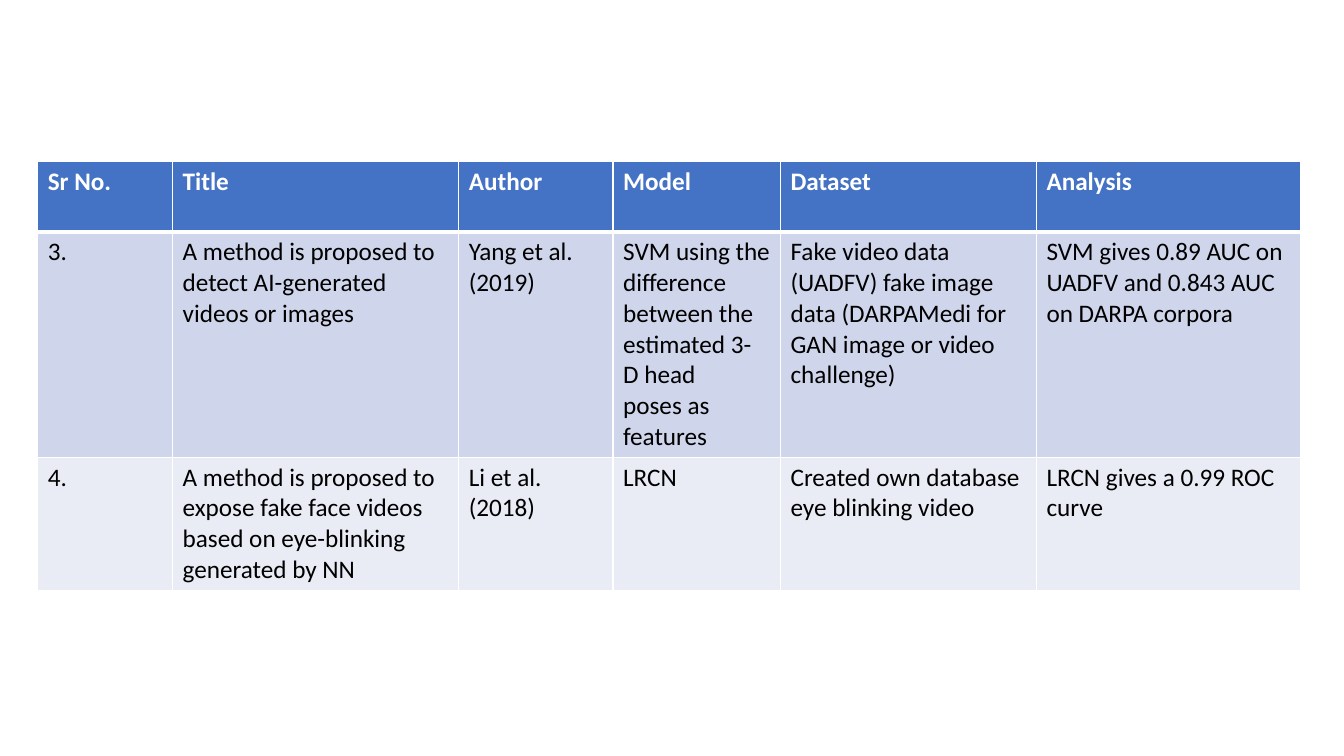
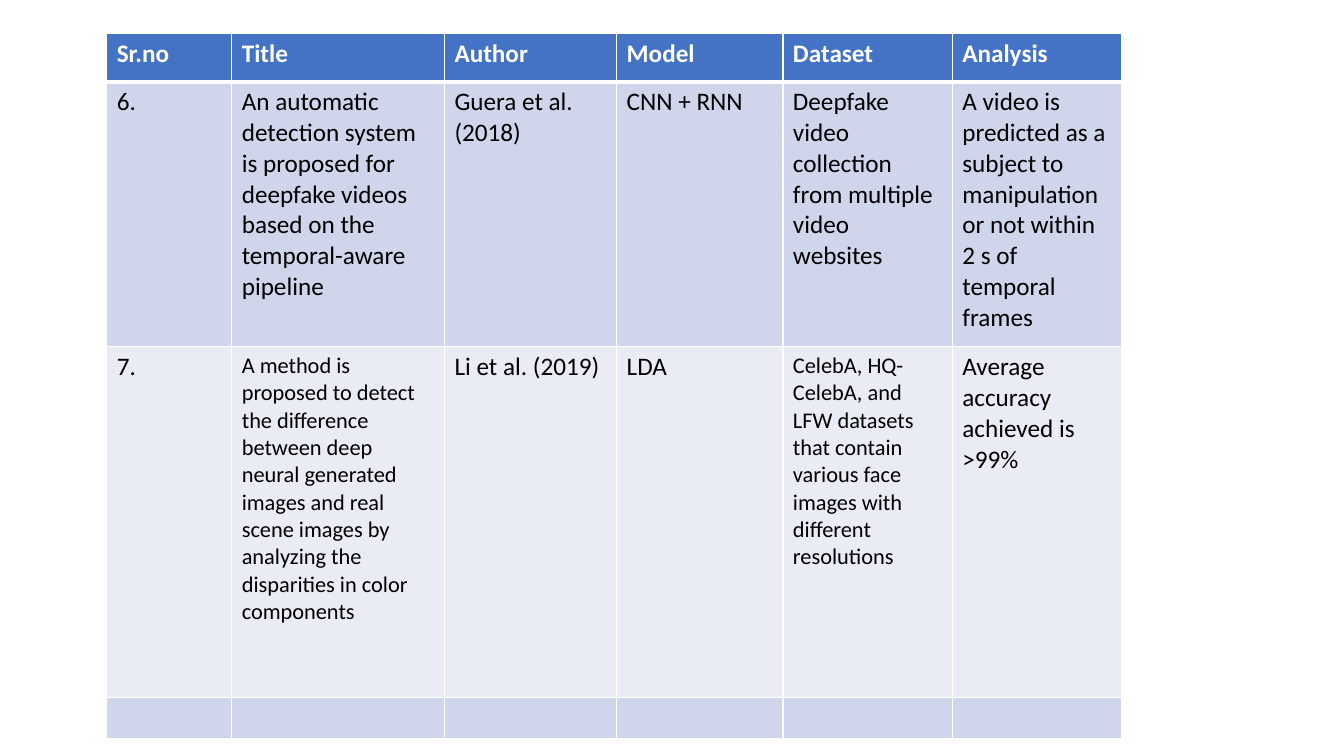
from pptx import Presentation
from pptx.dml.color import RGBColor
from pptx.oxml import parse_xml
from pptx.oxml.ns import nsdecls
from pptx.util import Cm, Pt

WHITE, BLACK = "FFFFFF", "000000"
HEADER_FILL = "4472C4"
BAND_FILLS = ("CFD5EA", "E9EBF5")
HEADER_FONT = {"name": "Calibri", "size": Pt(18), "bold": True}
BODY_FONT = {"name": "Calibri", "size": Pt(18), "bold": False}
SMALL_FONT = {**BODY_FONT, "size": Pt(16)}
THIN, THICK = 1, 3
COLUMNS = ["Title", "Author", "Model", "Dataset", "Analysis"]

HEAD_POSE_STUDIES = [
    ["Sr No.", *COLUMNS],
    ["3.",
     "A method is proposed to detect AI-generated videos or images",
     "Yang et al.\n(2019)",
     "SVM using the difference between the estimated 3- D head\nposes as features",
     "Fake video data (UADFV) fake image data (DARPAMedi for GAN image or video challenge)",
     "SVM gives 0.89 AUC on UADFV and 0.843 AUC on DARPA corpora"],
    ["4.",
     "A method is proposed to expose fake face videos based on eye-blinking generated by NN",
     "Li et al. (2018)",
     "LRCN",
     "Created own database eye blinking video",
     "LRCN gives a 0.99 ROC curve"],
]

PIPELINE_STUDIES = [
    ["Sr.no", *COLUMNS],
    ["6.",
     "An automatic detection system is proposed for deepfake videos based on the "
     "temporal-aware pipeline",
     "Guera et al. (2018)",
     "CNN + RNN",
     "Deepfake video collection from multiple video websites",
     "A video is predicted as a subject to manipulation or not within 2 s of temporal frames"],
    ["7.",
     "A method is proposed to detect the difference between deep neural generated images "
     "and real scene images by analyzing the disparities in color components",
     "Li et al. (2019)",
     "LDA",
     "CelebA, HQ-CelebA, and LFW datasets that contain various face images with "
     "different resolutions",
     "Average accuracy achieved is >99%"],
    [""] * 6,
]


def rgb(color):
    return RGBColor.from_string(color)


def set_borders(cell, top, bottom):
    """Draw white cell borders; top and bottom are widths in points."""
    tc_pr = cell._tc.get_or_add_tcPr()
    widths = {"L": THIN, "R": THIN, "T": top, "B": bottom}
    for i, (side, width) in enumerate(widths.items()):
        tc_pr.insert(i, parse_xml(
            f'<a:ln{side} {nsdecls("a")} w="{Pt(width)}"><a:solidFill>'
            f'<a:srgbClr val="{WHITE}"/></a:solidFill></a:ln{side}>'))


def fill_cell(cell, text, fill, color, font):
    cell.fill.solid()
    cell.fill.fore_color.rgb = rgb(fill)
    cell.text_frame.text = text
    for p in cell.text_frame.paragraphs:
        for r in p.runs:
            for name, value in font.items():
                setattr(r.font, name, value)
            r.font.color.rgb = rgb(color)


def add_study_table(prs, rows, left, top, widths, heights, small_cells=()):
    """Add a slide with one table; lengths are in centimetres."""
    s = prs.slides.add_slide(prs.slide_layouts[6])
    table = s.shapes.add_table(len(rows), len(widths), Cm(left), Cm(top),
                               Cm(sum(widths)), Cm(sum(heights))).table
    for column, width in zip(table.columns, widths):
        column.width = Cm(width)
    for i, (texts, height) in enumerate(zip(rows, heights)):
        table.rows[i].height = Cm(height)
        for j, text in enumerate(texts):
            cell = table.cell(i, j)
            if i == 0:
                fill_cell(cell, text, HEADER_FILL, WHITE, HEADER_FONT)
            else:
                font = SMALL_FONT if (i, j) in small_cells else BODY_FONT
                fill_cell(cell, text, BAND_FILLS[(i - 1) % 2], BLACK, font)
            set_borders(cell, top=THICK if i == 1 else THIN,
                        bottom=THICK if i == 0 else THIN)


def main():
    prs = Presentation()
    prs.slide_width, prs.slide_height = Cm(33.87), Cm(19.05)
    add_study_table(prs, HEAD_POSE_STUDIES, 0.95, 4.06,
                    widths=[3.4, 7.21, 3.89, 4.22, 6.45, 6.65],
                    heights=[1.78, 5.66, 3.32])
    add_study_table(prs, PIPELINE_STUDIES, 2.69, 0.84,
                    widths=[3.15, 5.36, 4.34, 4.19, 4.27, 4.27],
                    heights=[1.22, 6.68, 8.84, 0.97],
                    small_cells={(2, 1), (2, 4)})
    prs.save("out.pptx")


if __name__ == "__main__":
    main()
